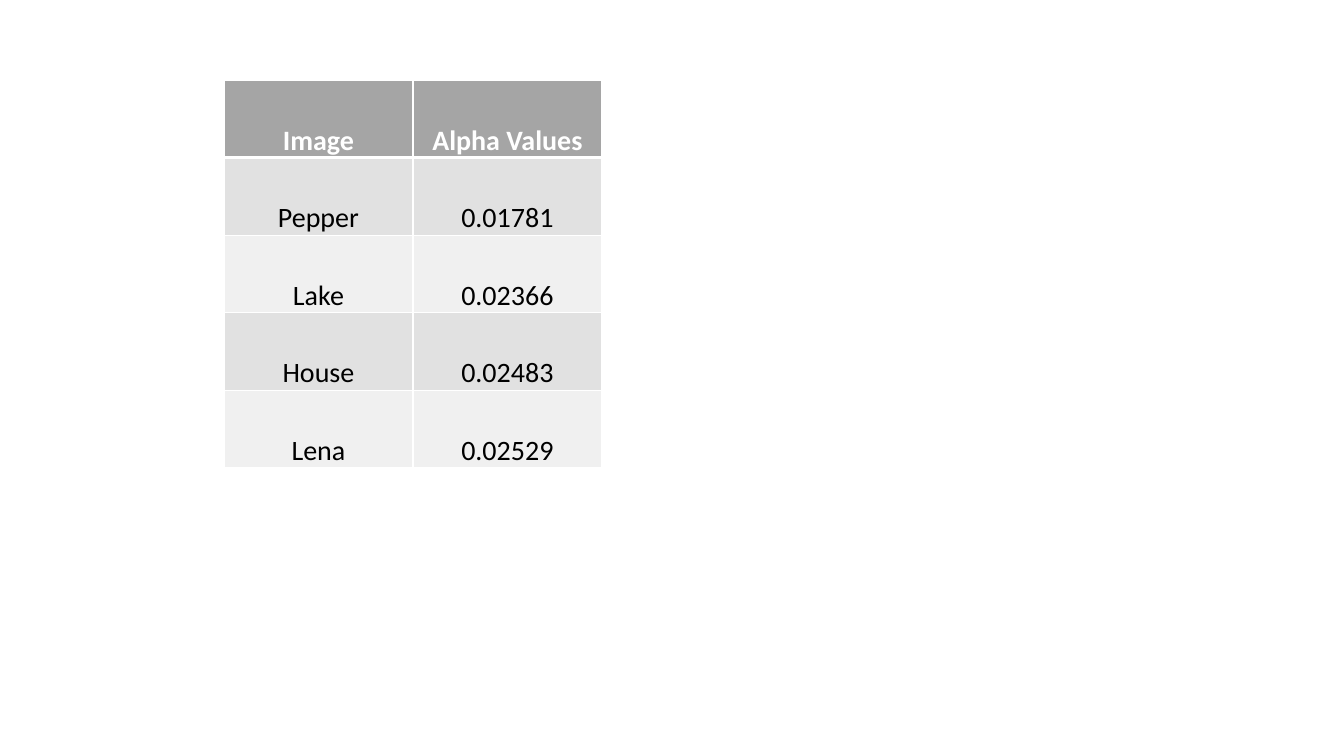
from lxml.etree import SubElement
from pptx import Presentation
from pptx.dml.color import RGBColor
from pptx.enum.text import MSO_ANCHOR, PP_ALIGN
from pptx.oxml.ns import qn
from pptx.util import Pt

SCALE = 914400 / 100.8
WHITE = RGBColor(0xFF, 0xFF, 0xFF)
BLACK = RGBColor(0x00, 0x00, 0x00)
HEADER_GRAY = RGBColor(0xA5, 0xA5, 0xA5)
BAND_GRAYS = [RGBColor(0xF0, 0xF0, 0xF0), RGBColor(0xE1, 0xE1, 0xE1)]

ALPHA_ROWS = [
    ("Image", "Alpha Values"),
    ("Pepper", "0.01781"),
    ("Lake", "0.02366"),
    ("House", "0.02483"),
    ("Lena", "0.02529"),
]


def px(pixels):
    """Turn pixels into EMU."""
    return round(pixels * SCALE)


def format_cell(cell, text, fill, color, bold=False, top=1, bottom=1):
    """Write centred text at the foot of a cell with white borders."""
    cell.margin_left = cell.margin_right = cell.margin_top = px(1)
    cell.margin_bottom = 0
    cell.vertical_anchor = MSO_ANCHOR.BOTTOM
    properties = cell._tc.get_or_add_tcPr()
    for side, width in (("L", 1), ("R", 1), ("T", top), ("B", bottom)):
        line = SubElement(properties, qn(f"a:ln{side}"), w=str(Pt(width)))
        line_fill = SubElement(line, qn("a:solidFill"))
        SubElement(line_fill, qn("a:srgbClr"), val=str(WHITE))
    cell.fill.solid()
    cell.fill.fore_color.rgb = fill
    para = cell.text_frame.paragraphs[0]
    para.alignment = PP_ALIGN.CENTER
    span = para.add_run()
    span.text = text
    span.font.name = "Calibri"
    span.font.size = Pt(20)
    span.font.bold = bold
    span.font.color.rgb = color


deck = Presentation()
deck.slide_width = px(1344)
deck.slide_height = px(756)
page = deck.slides.add_slide(deck.slide_layouts[6])

# add_table shares the width and height equally among columns and rows
table = page.shapes.add_table(
    len(ALPHA_ROWS), 2, px(224), px(80), px(378), px(388)
).table

for row, texts in enumerate(ALPHA_ROWS):
    for column, text in enumerate(texts):
        cell = table.cell(row, column)
        if row == 0:
            format_cell(cell, text, HEADER_GRAY, WHITE, bold=True, bottom=3)
        else:
            format_cell(cell, text, BAND_GRAYS[row % 2], BLACK,
                        top=3 if row == 1 else 1)

deck.save("out.pptx")
